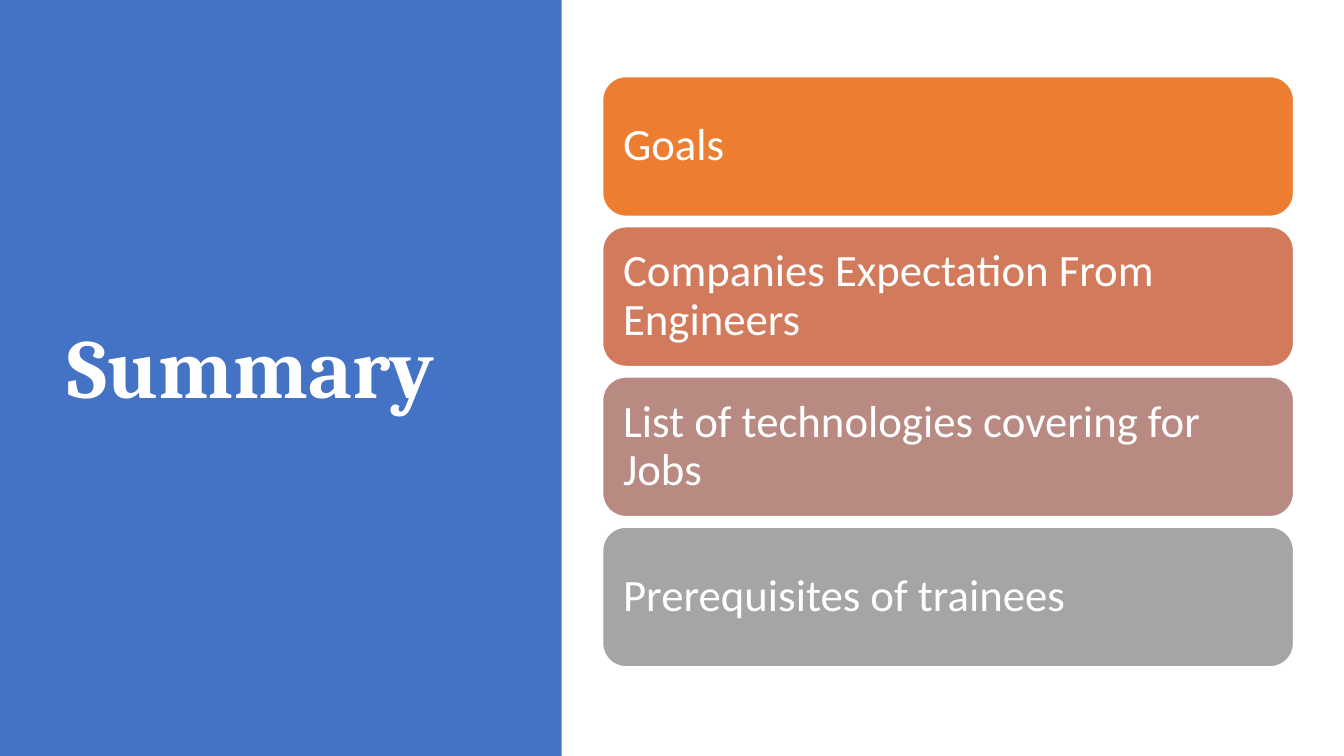
"""Build the summary slide: a title panel beside four stacked topic cards."""
import pptx
import pptx.util
import pptx.dml.color
import pptx.enum.shapes
import pptx.enum.text

RGB = pptx.dml.color.RGBColor
SHAPE = pptx.enum.shapes.MSO_SHAPE
WHITE = RGB(0xFF, 0xFF, 0xFF)
BLUE = RGB(0x44, 0x72, 0xC4)
ORANGE = RGB(0xED, 0x7D, 0x31)
TERRACOTTA = RGB(0xD1, 0x7B, 0x5C)
ROSE = RGB(0xB9, 0x8A, 0x82)
GRAY = RGB(0xA5, 0xA5, 0xA5)

TITLE = "Summary"
TOPICS = [
    ("Goals", ORANGE),
    ("Companies Expectation From Engineers", TERRACOTTA),
    ("List of technologies covering for Jobs", ROSE),
    ("Prerequisites of trainees", GRAY),
]
TITLE_FONT = {"name": "Cambria", "size": pptx.util.Pt(60), "bold": True}
TOPIC_FONT = {"name": "Calibri", "size": pptx.util.Pt(32)}

SLIDE_W, SLIDE_H = 1280, 720
PANEL_W = 535
TITLE_BOX = (55, 65, 399, 578)
CARD_X, CARD_Y, CARD_W, CARD_H = 574, 73, 658, 133
CARD_GAP = 10
CARD_INSET = 13


def px(n):
    """Turn px into EMU."""
    return pptx.util.Emu(n * 9525)


def write(sp, text, font):
    """Fill a shape with one left-aligned, vertically centred paragraph."""
    tf = sp.text_frame
    frame = {
        "word_wrap": True,
        "auto_size": pptx.enum.text.MSO_AUTO_SIZE.NONE,
        "vertical_anchor": pptx.enum.text.MSO_ANCHOR.MIDDLE,
    }
    for key, value in frame.items():
        setattr(tf, key, value)
    p = tf.paragraphs[0]
    p.alignment = pptx.enum.text.PP_ALIGN.LEFT
    p.line_spacing = 0.9
    r = p.add_run()
    r.text = text
    for key, value in font.items():
        setattr(r.font, key, value)
    r.font.color.rgb = WHITE


def add_block(s, kind, box, color):
    """Add a flat filled shape without an outline."""
    sp = s.shapes.add_shape(kind, *map(px, box))
    sp.shadow.inherit = False
    sp.fill.solid()
    sp.fill.fore_color.rgb = color
    sp.line.fill.background()
    return sp


def main():
    """Lay out the slide and save it."""
    prs = pptx.Presentation()
    prs.slide_width, prs.slide_height = px(SLIDE_W), px(SLIDE_H)
    s = prs.slides.add_slide(prs.slide_layouts[5])

    panel = add_block(s, SHAPE.RECTANGLE, (0, 0, PANEL_W, SLIDE_H), BLUE)
    title = s.shapes.title
    title.element.addprevious(panel.element)
    for key, value in zip(("left", "top", "width", "height"), TITLE_BOX):
        setattr(title, key, px(value))
    write(title, TITLE, TITLE_FONT)

    for i, (topic, color) in enumerate(TOPICS):
        y = CARD_Y + i * (CARD_H + CARD_GAP)
        card = add_block(s, SHAPE.ROUNDED_RECTANGLE, (CARD_X, y, CARD_W, CARD_H), color)
        card.line.color.rgb = WHITE
        card.line.width = pptx.util.Pt(1)
        for side in ("left", "top", "right", "bottom"):
            setattr(card.text_frame, f"margin_{side}", px(CARD_INSET))
        write(card, topic, TOPIC_FONT)

    prs.save("out.pptx")


if __name__ == "__main__":
    main()
